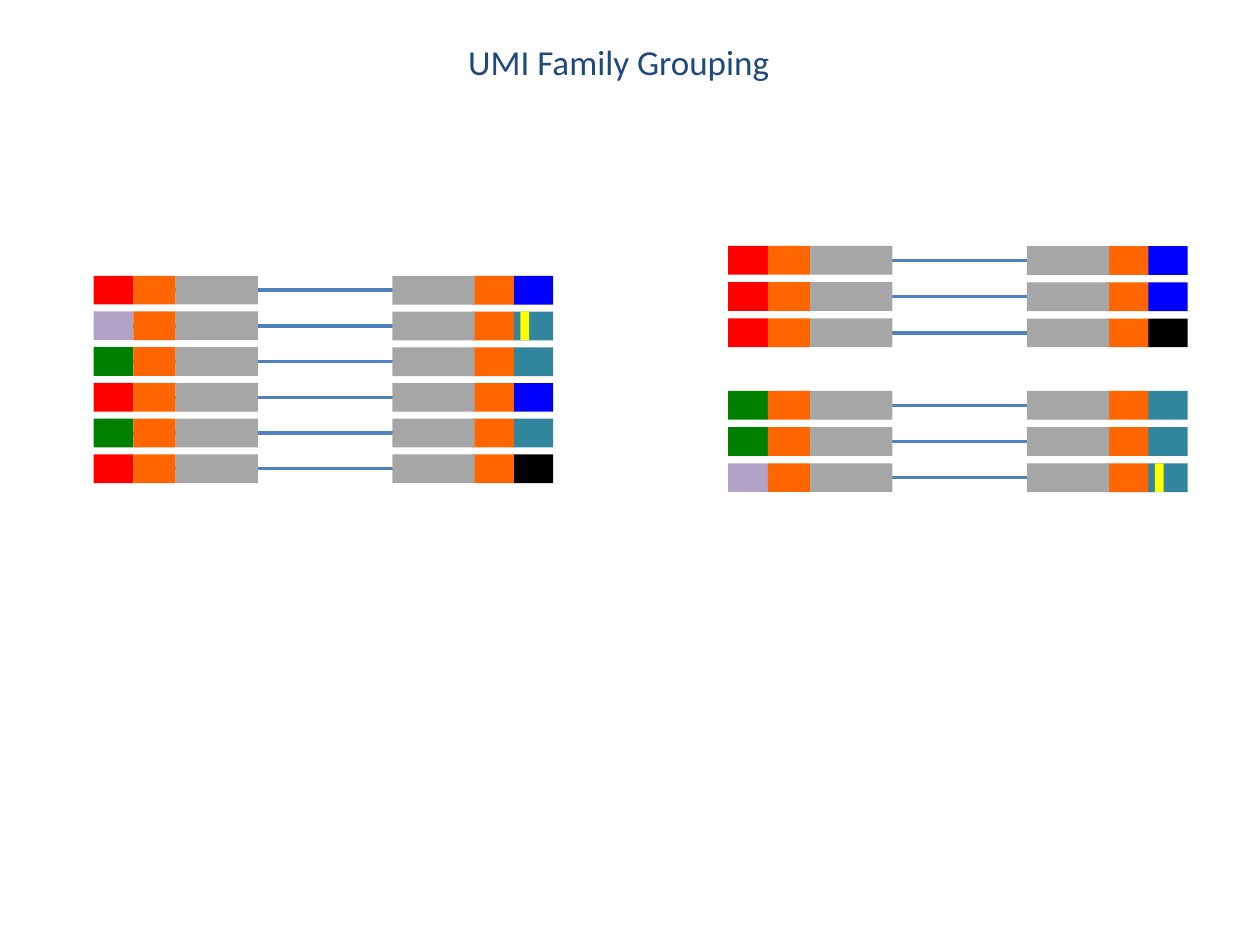
from lxml import etree
from pptx import Presentation
from pptx.dml.color import RGBColor
from pptx.enum.shapes import MSO_CONNECTOR, MSO_SHAPE
from pptx.enum.text import PP_ALIGN
from pptx.oxml.ns import qn
from pptx.util import Cm, Pt

COLOURS = {
    "title": "1F497D", "insert": "4F81BD", "adapter": "FF6600",
    "read": "A6A6A6", "red": "FF0000", "green": "008000", "lilac": "B3A2C7",
    "blue": "0000FF", "teal": "31859C", "black": "000000", "mismatch": "FFFF00",
}

# Lengths in cm, offsets measured from the left end of a fragment
BAR_HEIGHT = 0.58
INSERT_START, INSERT_END = 0.32, 8.94
UMI_WIDTH, ADAPTER_WIDTH, READ_WIDTH = 0.8, 0.85, 1.66
MISMATCH_OFFSET, MISMATCH_WIDTH = 8.6, 0.18

# Each fragment: left UMI, right UMI, whether the right UMI has a mismatch
RED_BLUE = ("red", "blue", False)
RED_BLACK = ("red", "black", False)
GREEN_TEAL = ("green", "teal", False)
LILAC_TEAL = ("lilac", "teal", True)

UNGROUPED = [RED_BLUE, LILAC_TEAL, GREEN_TEAL, RED_BLUE, GREEN_TEAL, RED_BLACK]
# None leaves an empty row between the two families
FAMILIES = [RED_BLUE, RED_BLUE, RED_BLACK, None,
            GREEN_TEAL, GREEN_TEAL, LILAC_TEAL]


def colour(name):
    return RGBColor.from_string(COLOURS[name])


def add_title(page, text):
    box = page.shapes.add_textbox(Cm(8.31), Cm(0.69), Cm(8.33), Cm(1.47))
    box.text_frame.word_wrap = True
    para = box.text_frame.paragraphs[0]
    para.alignment = PP_ALIGN.CENTER
    span = para.add_run()
    span.text = text
    span.font.name = "Calibri"
    span.font.size = Pt(20)
    span.font.color.rgb = colour("title")


def add_bar(shapes, left, top, width, fill, rotation=0):
    bar = shapes.add_shape(MSO_SHAPE.RECTANGLE, Cm(left), Cm(top),
                           Cm(width), Cm(BAR_HEIGHT))
    bar.shadow.inherit = False
    bar.fill.solid()
    bar.fill.fore_color.rgb = colour(fill)
    bar.line.fill.background()
    bar.rotation = rotation


def add_insert(shapes, left, top):
    middle = Cm(top + BAR_HEIGHT / 2)
    insert = shapes.add_connector(MSO_CONNECTOR.STRAIGHT,
                                  Cm(left + INSERT_START), middle,
                                  Cm(left + INSERT_END), middle)
    insert.line.width = Pt(2)
    insert.line.color.rgb = colour("insert")
    outline = insert.line._get_or_add_ln()
    for end, kind in (("a:headEnd", "diamond"), ("a:tailEnd", "oval")):
        etree.SubElement(outline, qn(end)).set("type", kind)
    etree.SubElement(insert._element.spPr, qn("a:effectLst"))


def add_fragment(page, left, top, left_umi, right_umi, mismatch):
    shapes = page.shapes.add_group_shape().shapes
    add_insert(shapes, left, top)
    parts = [
        (0, UMI_WIDTH, left_umi, 0),
        (0.8, ADAPTER_WIDTH, "adapter", 0),
        (1.65, READ_WIDTH, "read", 0),
        (8.46, UMI_WIDTH, right_umi, 180),
        (7.62, ADAPTER_WIDTH, "adapter", 180),
        (6.02, READ_WIDTH, "read", 180),
    ]
    for offset, width, fill, rotation in parts:
        add_bar(shapes, left + offset, top, width, fill, rotation)
    if mismatch:
        add_bar(page.shapes, left + MISMATCH_OFFSET, top,
                MISMATCH_WIDTH, "mismatch")


def add_stack(page, left, top, pitch, fragments):
    for row, fragment in enumerate(fragments):
        if fragment:
            add_fragment(page, left, top + row * pitch, *fragment)


def main():
    deck = Presentation()
    deck.slide_width, deck.slide_height = Cm(25.4), Cm(19.05)
    page = deck.slides.add_slide(deck.slide_layouts[6])

    add_title(page, "UMI Family Grouping")
    # Reads as sequenced, on the left
    add_stack(page, 1.89, 5.56, 0.72, UNGROUPED)
    # Reads sorted into families, on the right
    add_stack(page, 14.68, 4.96, 0.73, FAMILIES)

    deck.save("out.pptx")


if __name__ == "__main__":
    main()
